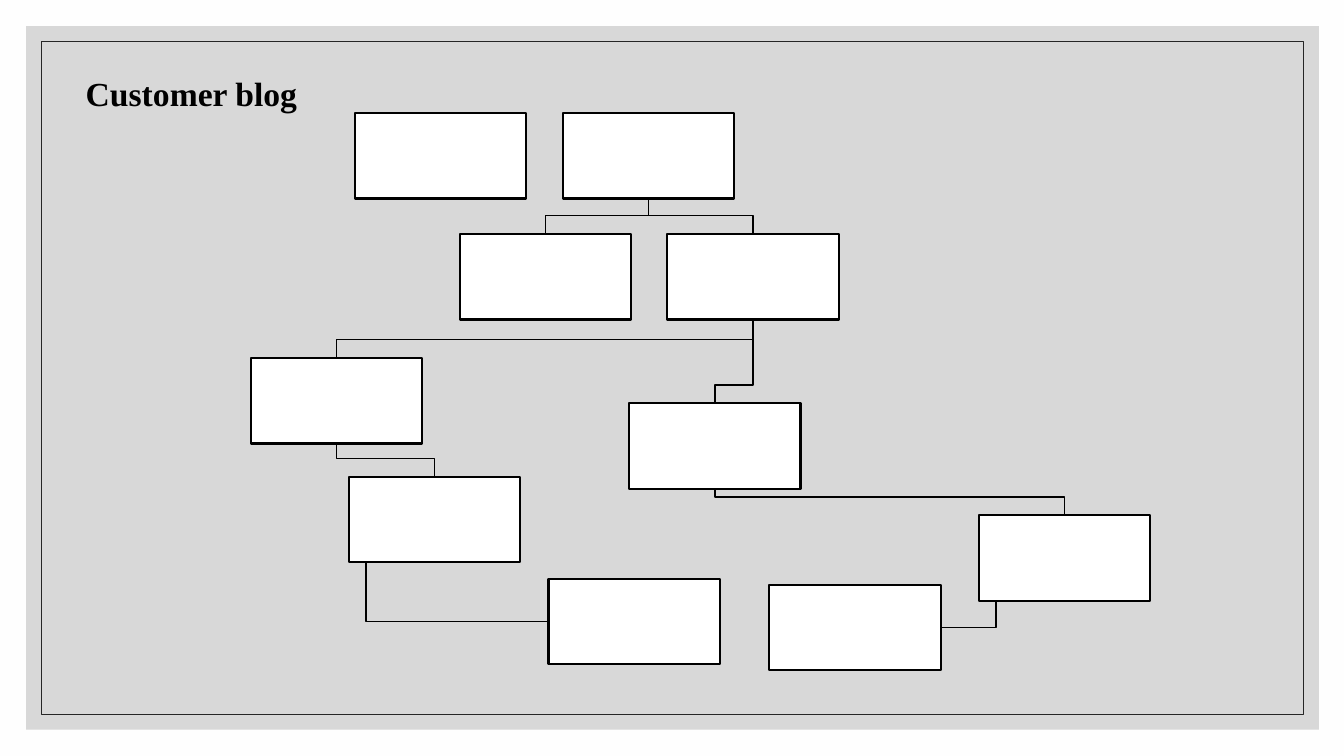
from dataclasses import dataclass

from lxml import etree
from pptx import Presentation
from pptx.dml.color import RGBColor
from pptx.enum import shapes, text
from pptx.oxml import ns
from pptx.util import Inches, Pt


@dataclass(frozen=True)
class Theme:
    background: RGBColor = RGBColor(0xFE, 0xFE, 0xFE)
    panel: RGBColor = RGBColor(0xBF, 0xBF, 0xBF)
    panel_opacity: int = 60
    frame: RGBColor = RGBColor(0x26, 0x26, 0x26)
    ink: RGBColor = RGBColor(0, 0, 0)
    box: RGBColor = RGBColor(0xFF, 0xFF, 0xFF)
    font: str = "Times New Roman"
    title_size: float = 24
    frame_line: float = 0.5
    link_line: float = 1
    box_line: float = 1.5


@dataclass(frozen=True)
class Box:
    left: float
    top: float
    width: float = 1.7
    height: float = 0.85

    @property
    def center(self) -> float:
        return self.left + self.width / 2

    @property
    def middle(self) -> float:
        return self.top + self.height / 2

    @property
    def right(self) -> float:
        return self.left + self.width

    @property
    def bottom(self) -> float:
        return self.top + self.height


@dataclass(frozen=True)
class Link:
    parent: str
    child: str
    sideways: bool = False


THEME = Theme()
BEND_GAP = 0.18  # from the bend of a link down to the child box
SIDE_INSET = 0.17  # from the parent's left edge to a sideways link

PANEL = Box(0.26, 0.26, 12.82, 6.98)
FRAME = Box(0.41, 0.41, 12.52, 6.68)

BOXES = {
    "separate": Box(3.52, 1.12),
    "root": Box(5.58, 1.12),
    "second left": Box(4.56, 2.32),
    "second right": Box(6.62, 2.32),
    "left branch": Box(2.49, 3.55),
    "left child": Box(3.46, 4.73),
    "left leaf": Box(5.44, 5.74),
    "right branch": Box(6.24, 4),
    "right child": Box(9.71, 5.11),
    "right leaf": Box(7.63, 5.8),
}

LINKS = [
    Link("right child", "right leaf", sideways=True),
    Link("right branch", "right child"),
    Link("second right", "right branch"),
    Link("left child", "left leaf", sideways=True),
    Link("left branch", "left child"),
    Link("second right", "left branch"),
    Link("root", "second right"),
    Link("root", "second left"),
]


def style(shape, fill: RGBColor | None, line: RGBColor | None, width: float = 0) -> None:
    shape.shadow.inherit = False
    if fill is None:
        shape.fill.background()
    else:
        shape.fill.solid()
        shape.fill.fore_color.rgb = fill
    if line is None:
        shape.line.fill.background()
    else:
        shape.line.color.rgb = line
        shape.line.width = Pt(width)


def add_box(slide, box: Box, fill: RGBColor | None, line: RGBColor | None, width: float = 0):
    shape = slide.shapes.add_shape(
        shapes.MSO_SHAPE.RECTANGLE,
        Inches(box.left), Inches(box.top), Inches(box.width), Inches(box.height),
    )
    style(shape, fill, line, width)
    return shape


def link_points(link: Link) -> list[tuple[float, float]]:
    parent, child = BOXES[link.parent], BOXES[link.child]
    if link.sideways:
        start = parent.left + SIDE_INSET
        end = child.left if child.left > start else child.right
        return [(start, parent.bottom), (start, child.middle), (end, child.middle)]
    bend = child.top - BEND_GAP
    return [(parent.center, parent.bottom), (parent.center, bend),
            (child.center, bend), (child.center, child.top)]


def add_link(slide, link: Link) -> None:
    start, *rest = [(Inches(x), Inches(y)) for x, y in link_points(link)]
    builder = slide.shapes.build_freeform(*start)
    builder.add_line_segments(rest, close=False)
    style(builder.convert_to_shape(), None, THEME.ink, THEME.link_line)


def add_backdrop(slide):
    slide.background.fill.solid()
    slide.background.fill.fore_color.rgb = THEME.background
    panel = add_box(slide, PANEL, THEME.panel, None)
    color = panel.element.spPr.find(ns.qn("a:solidFill")).find(ns.qn("a:srgbClr"))
    etree.SubElement(color, ns.qn("a:alpha"), val=str(THEME.panel_opacity * 1000))
    return add_box(slide, FRAME, None, THEME.frame, THEME.frame_line)


def format_title(title, wording: str) -> None:
    title.left, title.top = Inches(0.75), Inches(0.47)
    title.width, title.height = Inches(6.66), Inches(0.64)
    frame = title.text_frame
    frame.text = wording
    frame.word_wrap = True
    frame.vertical_anchor = text.MSO_ANCHOR.TOP
    frame.auto_size = text.MSO_AUTO_SIZE.SHAPE_TO_FIT_TEXT
    paragraph = frame.paragraphs[0]
    paragraph.alignment = text.PP_ALIGN.JUSTIFY
    paragraph.line_spacing = 1.5
    paragraph.space_before = Pt(0)
    paragraph.space_after = Pt(8)
    font = paragraph.runs[0].font
    font.name, font.size, font.bold = THEME.font, Pt(THEME.title_size), True
    font.color.rgb = THEME.ink


def main() -> None:
    presentation = Presentation()
    presentation.slide_width, presentation.slide_height = Inches(13.33), Inches(7.5)
    slide = presentation.slides.add_slide(presentation.slide_layouts.get_by_name("Title Only"))

    # Backdrop, with the title in front of it
    frame = add_backdrop(slide)
    title = slide.shapes.title
    format_title(title, "Customer blog")
    frame.element.addnext(title.element)

    # Hierarchy: links behind, boxes in front
    for link in LINKS:
        add_link(slide, link)
    for box in BOXES.values():
        add_box(slide, box, THEME.box, THEME.ink, THEME.box_line)

    presentation.save("out.pptx")


if __name__ == "__main__":
    main()
